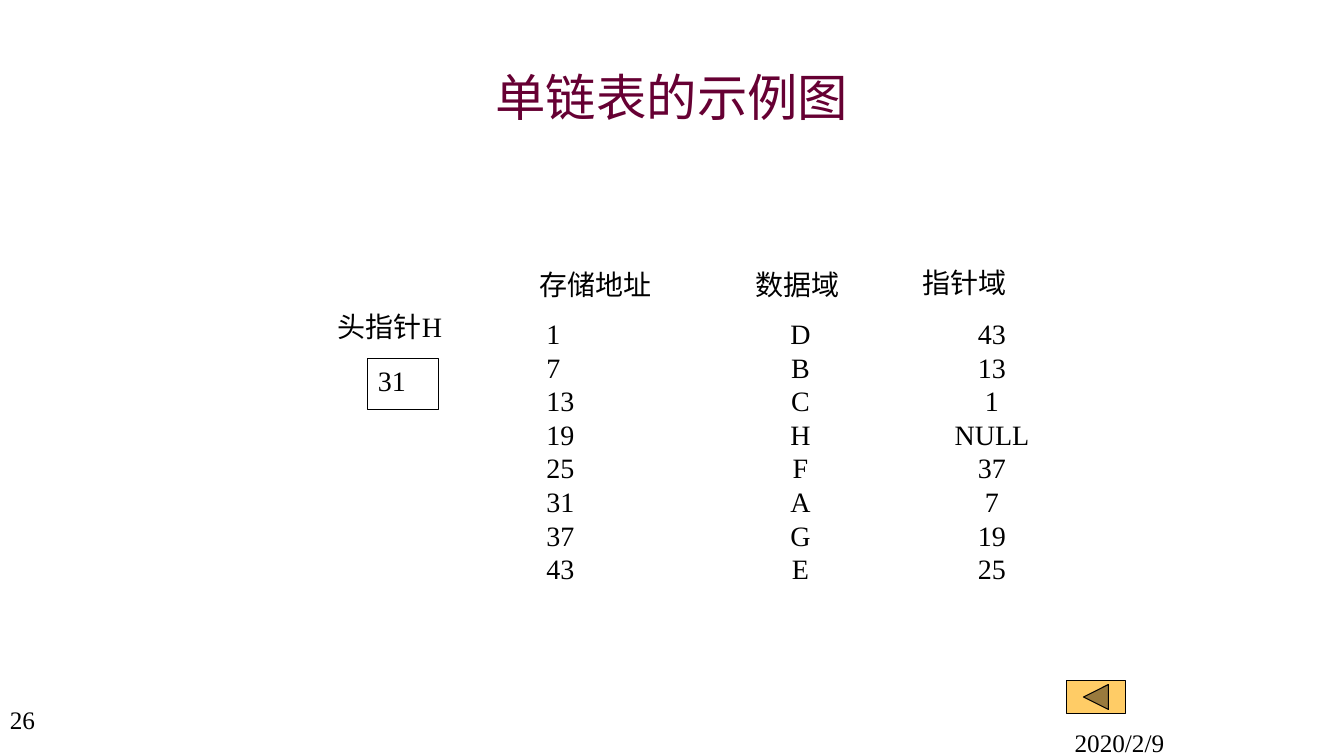
from lxml.etree import SubElement
from pptx import Presentation
from pptx.dml.color import RGBColor
from pptx.enum.shapes import MSO_SHAPE as Shape
from pptx.enum.text import MSO_ANCHOR as Anchor, PP_ALIGN as Align
from pptx.oxml.ns import qn
from pptx.util import Emu, Pt

SCALE = 9144  # EMU per px, 100 px to the inch
SERIF = "Times New Roman"
SANS = "Noto Sans CJK SC"

NODES = [
    ("1", "D", "43"),
    ("7", "B", "13"),
    ("13", "C", "1"),
    ("19", "H", "NULL"),
    ("25", "F", "37"),
    ("31", "A", "7"),
    ("37", "G", "19"),
    ("43", "E", "25"),
]
TABS = (252, 442)  # centres of the data and pointer columns


def px(n):
    return Emu(n * SCALE)


def color(code):
    return RGBColor.from_string(code)


def style(para, size, name, ink, align):
    para.alignment = align
    para.font.size = Pt(size)
    para.font.name = name
    para.font.color.rgb = color(ink)


def write(shape, text, size=20, name=SERIF, ink="000000", align=Align.LEFT,
          anchor=Anchor.TOP):
    frame = shape.text_frame
    frame.word_wrap = True
    frame.vertical_anchor = anchor
    para = frame.paragraphs[0]
    para.text = text
    style(para, size, name, ink, align)


def label(slide, box, text, **look):
    write(slide.shapes.add_textbox(*map(px, box)), text, **look)


def block(slide, kind, box, fill, line):
    shape = slide.shapes.add_shape(kind, *map(px, box))
    shape.shadow.inherit = False
    shape.fill.solid()
    shape.fill.fore_color.rgb = color(fill)
    shape.line.color.rgb = color(line)
    shape.line.width = Pt(0.75)
    return shape


def add_tabs(para):
    tabs = SubElement(para._p.get_or_add_pPr(), qn("a:tabLst"))
    for stop in TABS:
        SubElement(tabs, qn("a:tab"), pos=str(px(stop)), algn="ctr")


def listing(slide, box, rows):
    frame = slide.shapes.add_textbox(*map(px, box)).text_frame
    frame.word_wrap = True
    for i, row in enumerate(rows):
        para = frame.add_paragraph() if i else frame.paragraphs[0]
        para.text = "\t".join(row)
        add_tabs(para)
        para.line_spacing = Pt(24)
        style(para, 20, SERIF, "000000", Align.LEFT)


def main():
    deck = Presentation()
    deck.slide_width, deck.slide_height = px(1333), px(750)
    slide = deck.slides.add_slide(deck.slide_layouts[6])

    # Title and footer
    label(slide, (100, 58, 1133, 75), "单链表的示例图", size=36, name=SANS,
          ink="660033", align=Align.CENTER, anchor=Anchor.MIDDLE)
    label(slide, (1056, 717, 278, 33), "2020/2/9", size=18)
    label(slide, (0, 694, 86, 53), "26", size=18)

    # Head pointer
    head = block(slide, Shape.RECTANGLE, (325, 302, 136, 54), "FFFFFF", "FFFFFF")
    write(head, "头指针H")
    cell = block(slide, Shape.RECTANGLE, (365, 356, 70, 50), "FFFFFF", "000000")
    write(cell, "31")

    # Column heads
    label(slide, (525, 260, 143, 59), "存储地址")
    label(slide, (739, 260, 119, 48), "数据域")
    label(slide, (905, 258, 119, 48), "指针域")

    # Stored nodes
    listing(slide, (532, 309, 552, 291), NODES)

    # Back button
    block(slide, Shape.ACTION_BUTTON_BACK_OR_PREVIOUS, (1058, 675, 58, 33),
          "FFCC66", "000000")

    deck.save("out.pptx")


if __name__ == "__main__":
    main()
